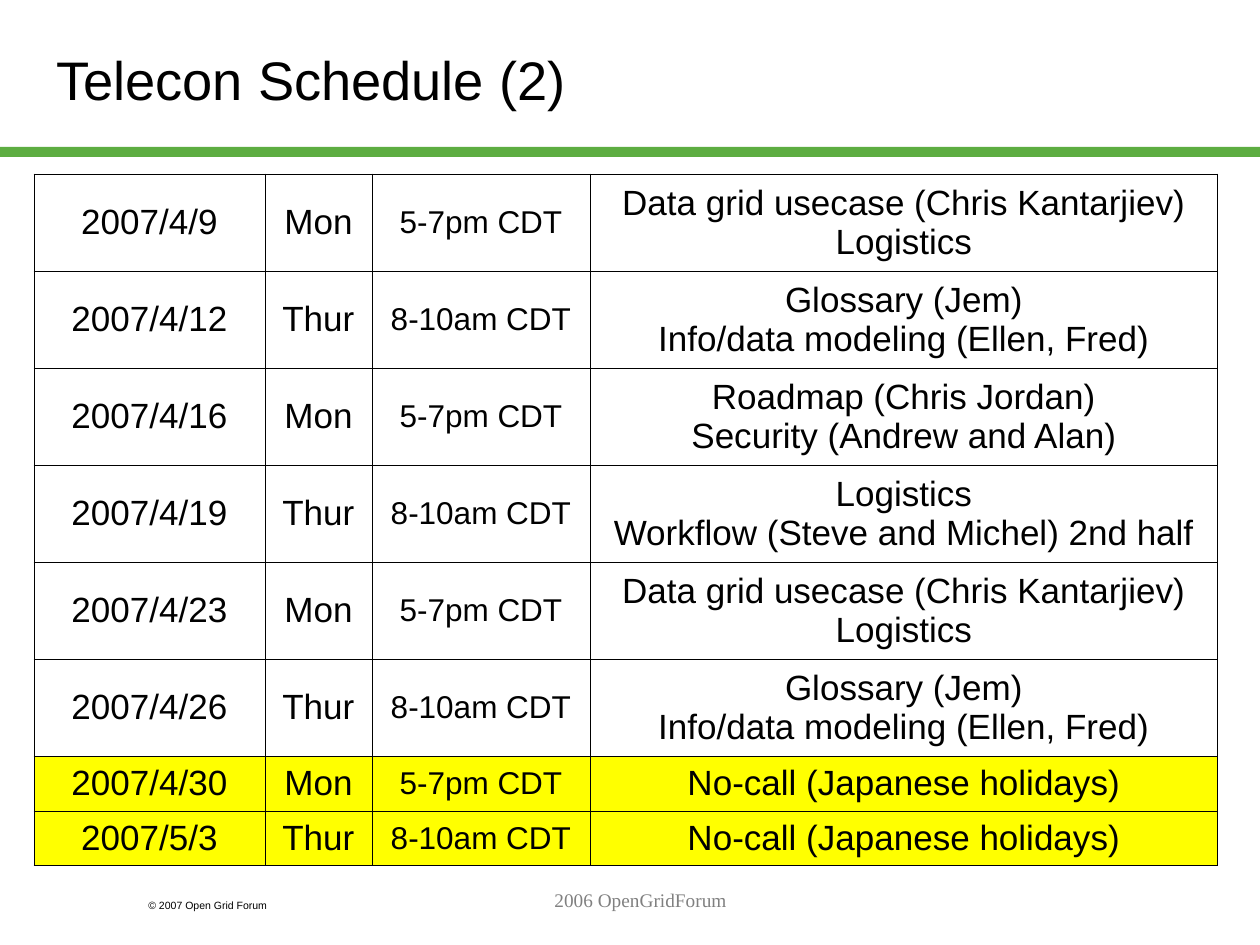
import dataclasses

import lxml.etree
import pptx
import pptx.dml.color
import pptx.enum.shapes
import pptx.enum.text
import pptx.oxml.ns
import pptx.util

PX_PER_INCH = 126
COLORS = {
    "text": "000000",
    "border": "000000",
    "bar": "5DAD41",
    "cell": "FFFFFF",
    "holiday": "FFFF00",
    "footer": "808080",
}
ALIGN = pptx.enum.text.PP_ALIGN
ANCHOR = pptx.enum.text.MSO_ANCHOR
BORDER_WIDTH = pptx.util.Pt(0.45)
COLUMN_WIDTHS = (231, 107, 218, 628)
TIME_COLUMN = 2
TIMES = {"Mon": "5-7pm CDT", "Thur": "8-10am CDT"}


@dataclasses.dataclass
class Call:
    date: str
    day: str
    topics: tuple[str, ...]
    height: int = 97
    holiday: bool = False


@dataclasses.dataclass
class Label:
    text: str
    area: tuple[int, int, int, int]
    size: float
    font: str = "Arial"
    color: str = "text"
    align: ALIGN = ALIGN.LEFT
    anchor: ANCHOR = ANCHOR.TOP


DATA_GRID = ("Data grid usecase (Chris Kantarjiev)", "Logistics")
GLOSSARY = ("Glossary (Jem)", "Info/data modeling (Ellen, Fred)")
NO_CALL = ("No-call (Japanese holidays)",)

CALLS = [
    Call("2007/4/9", "Mon", DATA_GRID),
    Call("2007/4/12", "Thur", GLOSSARY),
    Call("2007/4/16", "Mon", ("Roadmap (Chris Jordan)", "Security (Andrew and Alan)")),
    Call("2007/4/19", "Thur", ("Logistics", "Workflow (Steve and Michel) 2nd half")),
    Call("2007/4/23", "Mon", DATA_GRID),
    Call("2007/4/26", "Thur", GLOSSARY),
    Call("2007/4/30", "Mon", NO_CALL, height=55, holiday=True),
    Call("2007/5/3", "Thur", NO_CALL, height=55, holiday=True),
]

LABELS = [
    Label("© 2007 Open Grid Forum", (136, 893, 189, 25), 6),
    Label("Telecon Schedule (2)", (44, 22, 1121, 114), 31, anchor=ANCHOR.MIDDLE),
    Label("2006 OpenGridForum", (273, 882, 735, 63), 11,
          font="Times New Roman", color="footer", align=ALIGN.CENTER),
]


def px(length: int) -> pptx.util.Emu:
    return pptx.util.Emu(round(pptx.util.Inches(length) / PX_PER_INCH))


def rgb(name: str) -> pptx.dml.color.RGBColor:
    return pptx.dml.color.RGBColor.from_string(COLORS[name])


def write_text(frame, *lines: str, size: float, font: str = "Arial",
               color: str = "text", align: ALIGN = ALIGN.LEFT) -> None:
    for index, line in enumerate(lines):
        para = frame.add_paragraph() if index else frame.paragraphs[0]
        para.alignment = align
        span = para.add_run()
        span.text = line
        span.font.size = pptx.util.Pt(size)
        span.font.name = font
        span.font.color.rgb = rgb(color)


def draw_label(page, label: Label) -> None:
    box = page.shapes.add_textbox(*map(px, label.area))
    box.text_frame.word_wrap = True
    box.text_frame.vertical_anchor = label.anchor
    write_text(box.text_frame, label.text, size=label.size, font=label.font,
               color=label.color, align=label.align)


def draw_bar(page) -> None:
    bar = page.shapes.add_shape(
        pptx.enum.shapes.MSO_SHAPE.RECTANGLE, *map(px, (0, 147, 1260, 10)))
    bar.shadow.inherit = False
    bar.fill.solid()
    bar.fill.fore_color.rgb = rgb("bar")
    bar.line.fill.background()


def add_borders(cell) -> None:
    qualify = pptx.oxml.ns.qn
    properties = cell._tc.get_or_add_tcPr()
    for side in ("a:lnL", "a:lnR", "a:lnT", "a:lnB"):
        line = lxml.etree.SubElement(properties, qualify(side), w=str(BORDER_WIDTH))
        fill = lxml.etree.SubElement(line, qualify("a:solidFill"))
        lxml.etree.SubElement(fill, qualify("a:srgbClr"), val=COLORS["border"])


def draw_schedule(page, calls: list[Call]) -> None:
    area = (34, 174, sum(COLUMN_WIDTHS), sum(call.height for call in calls))
    table = page.shapes.add_table(
        len(calls), len(COLUMN_WIDTHS), *map(px, area)).table
    table.first_row = False
    table.horz_banding = False
    for column, width in zip(table.columns, COLUMN_WIDTHS):
        column.width = px(width)
    for row, call in zip(table.rows, calls):
        row.height = px(call.height)
        contents = ((call.date,), (call.day,), (TIMES[call.day],), call.topics)
        for index, (cell, lines) in enumerate(zip(row.cells, contents)):
            is_time = index == TIME_COLUMN
            cell.vertical_anchor = ANCHOR.MIDDLE
            add_borders(cell)
            if is_time and not call.holiday:
                cell.fill.background()
            else:
                cell.fill.solid()
                cell.fill.fore_color.rgb = rgb("holiday" if call.holiday else "cell")
            write_text(cell.text_frame, *lines, size=18 if is_time else 20,
                       align=ALIGN.CENTER)


def main() -> None:
    deck = pptx.Presentation()
    deck.slide_width = px(1260)
    deck.slide_height = px(945)
    page = deck.slides.add_slide(deck.slide_layouts[6])
    draw_bar(page)
    for label in LABELS:
        draw_label(page, label)
    draw_schedule(page, CALLS)
    deck.save("out.pptx")


if __name__ == "__main__":
    main()
